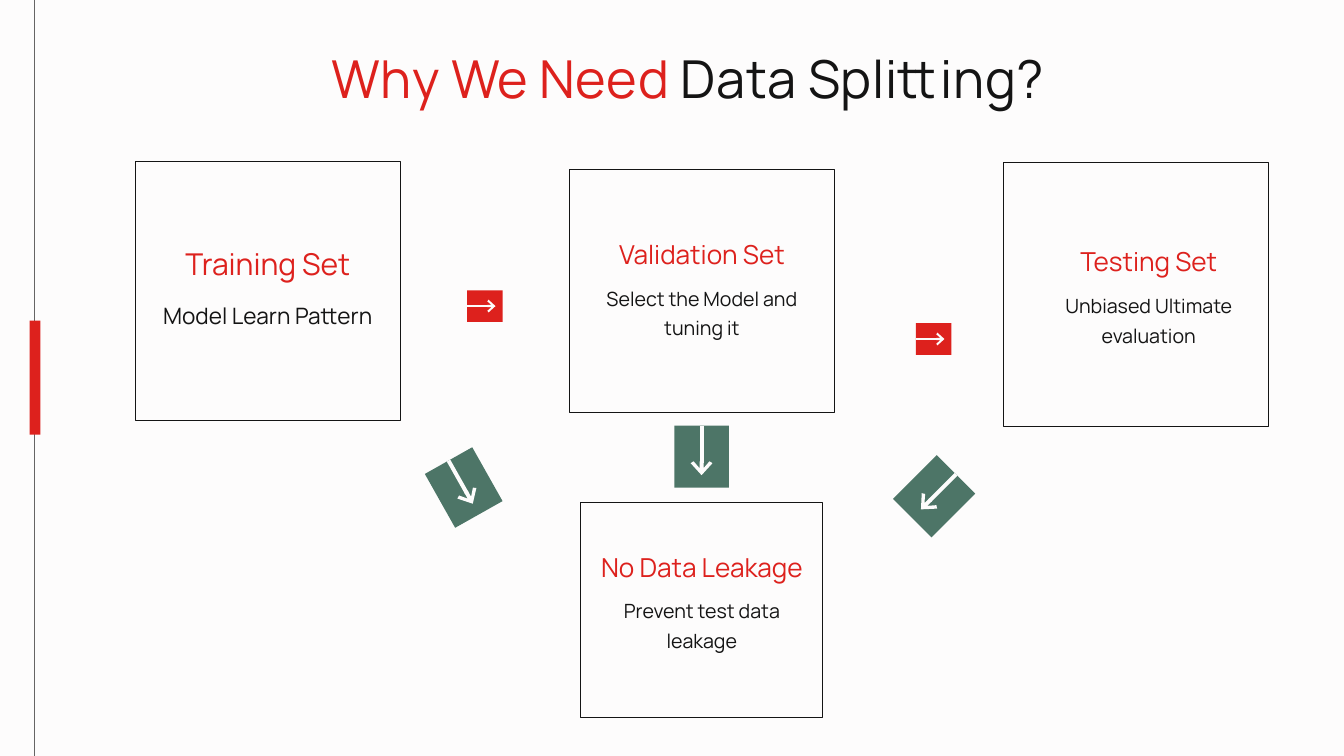
"""Build the data splitting slide: four cards joined by arrow badges."""
from dataclasses import dataclass
from math import cos, radians, sin

from lxml import etree
from pptx import Presentation
from pptx.dml.color import RGBColor
from pptx.enum.shapes import MSO_CONNECTOR, MSO_SHAPE
from pptx.enum.text import MSO_ANCHOR, MSO_AUTO_SIZE, PP_ALIGN
from pptx.oxml.ns import qn
from pptx.shapes.autoshape import Shape
from pptx.slide import Slide
from pptx.text.text import TextFrame
from pptx.util import Inches, Pt

RECT = MSO_SHAPE.RECTANGLE
STRAIGHT = MSO_CONNECTOR.STRAIGHT
TOP = MSO_ANCHOR.TOP
NO_FIT = MSO_AUTO_SIZE.NONE
CENTER = PP_ALIGN.CENTER


@dataclass(frozen=True)
class Theme:
    font: str = "Manrope"
    paper: RGBColor = RGBColor(0xFD, 0xFC, 0xFC)
    ink: RGBColor = RGBColor(0x14, 0x14, 0x14)
    red: RGBColor = RGBColor(0xDD, 0x21, 0x1D)
    green: RGBColor = RGBColor(0x4D, 0x75, 0x67)
    title: float = 56
    heading: float = 28
    heading_large: float = 32.2
    body_ratio: float = 0.75
    frame: float = 0.75


THEME = Theme()


@dataclass(frozen=True)
class Box:
    x: float
    y: float
    w: float
    h: float


@dataclass(frozen=True)
class Run:
    text: str
    color: RGBColor


@dataclass(frozen=True)
class Card:
    frame: Box
    text_x: float
    text_y: float
    text_w: float
    heading: str
    body: str
    size: float = THEME.heading


@dataclass(frozen=True)
class Badge:
    x: float
    y: float
    w: float
    h: float
    color: RGBColor
    stroke: float
    angle: float = 0


CARDS = [
    Card(Box(2.01, 2.39, 3.95, 3.87), 2.24, 3.57, 3.49,
         "Training Set", "Model Learn Pattern", THEME.heading_large),
    Card(Box(8.47, 2.52, 3.95, 3.62), 8.93, 3.47, 3.03,
         "Validation Set", "Select the Model and tuning it"),
    Card(Box(14.93, 2.41, 3.95, 3.94), 15.58, 3.58, 3.03,
         "Testing Set", "Unbiased Ultimate evaluation"),
    Card(Box(8.63, 7.47, 3.62, 3.21), 8.78, 8.12, 3.33,
         "No Data Leakage", "Prevent test data leakage"),
]

BADGES = [
    Badge(6.95, 4.32, 0.53, 0.47, THEME.red, 2.5),
    Badge(13.63, 4.81, 0.53, 0.47, THEME.red, 2.5),
    Badge(9.98, 6.39, 0.92, 0.81, THEME.green, 4.25, 90),
    Badge(13.44, 6.98, 0.92, 0.81, THEME.green, 4.25, 135),
    Badge(6.44, 6.85, 0.92, 0.81, THEME.green, 4.25, 60.6),
]


def add_block(s: Slide, box: Box, color: RGBColor) -> Shape:
    """Add a solid rectangle without an outline."""
    sp = s.shapes.add_shape(RECT, Inches(box.x), Inches(box.y), Inches(box.w), Inches(box.h))
    sp.shadow.inherit = False
    sp.fill.solid()
    sp.fill.fore_color.rgb = color
    sp.line.fill.background()
    return sp


def add_frame(s: Slide, box: Box) -> None:
    """Add a hairline frame whose outer edge follows the box."""
    line = Pt(THEME.frame)
    sp = s.shapes.add_shape(RECT, Inches(box.x) + line // 2, Inches(box.y) + line // 2,
                            Inches(box.w) - line, Inches(box.h) - line)
    sp.shadow.inherit = False
    sp.fill.background()
    sp.line.color.rgb = THEME.ink
    sp.line.width = line


def write(tf: TextFrame, runs: list[Run], size: float, leading: float, spacing: int = 0) -> None:
    """Fill a text frame with one centred paragraph."""
    tf.word_wrap = True
    tf.auto_size = NO_FIT
    tf.vertical_anchor = TOP
    tf.margin_left = tf.margin_right = tf.margin_top = tf.margin_bottom = 0
    p = tf.paragraphs[0]
    p.alignment = CENTER
    p.line_spacing = Pt(round(size * leading, 1))
    for run in runs:
        r = p.add_run()
        r.text = run.text
        r.font.name = THEME.font
        r.font.size = Pt(size)
        r.font.color.rgb = run.color
        if spacing:
            r.font._element.set("spc", str(spacing))


def add_text(s: Slide, box: Box, run: Run, size: float, leading: float) -> None:
    """Add a text box holding a single run."""
    sp = s.shapes.add_textbox(Inches(box.x), Inches(box.y), Inches(box.w), Inches(box.h))
    write(sp.text_frame, [run], size, leading)


def add_title(s: Slide) -> None:
    """Place and fill the title placeholder."""
    sp = s.shapes.title
    sp.left, sp.top, sp.width, sp.height = Inches(3.98), Inches(0.61), Inches(12.51), Inches(0.98)
    runs = [Run("Why We Need", THEME.red), Run(" Data Splitting?", THEME.ink)]
    write(sp.text_frame, runs, THEME.title, 1.3, 60)


def add_card(s: Slide, card: Card) -> None:
    """Add a framed card, its text spaced in proportion to the heading."""
    scale = card.size / THEME.heading
    body_y = card.text_y + 0.71 * scale
    add_frame(s, card.frame)
    add_text(s, Box(card.text_x, card.text_y, card.text_w, 0.51 * scale),
             Run(card.heading, THEME.red), card.size, 1.4)
    add_text(s, Box(card.text_x, body_y, card.text_w, 0.81),
             Run(card.body, THEME.ink), round(card.size * THEME.body_ratio, 1), 1.5)


def add_badge(s: Slide, badge: Badge) -> None:
    """Add a turned block with an arrow from its rear edge."""
    sp = add_block(s, Box(badge.x, badge.y, badge.w, badge.h), badge.color)
    sp.rotation = badge.angle
    cx, cy = badge.x + badge.w / 2, badge.y + badge.h / 2
    dx, dy = badge.w * cos(radians(badge.angle)), badge.w * sin(radians(badge.angle))
    cxn = s.shapes.add_connector(STRAIGHT, Inches(cx - 0.5 * dx), Inches(cy - 0.5 * dy),
                                 Inches(cx + 0.3 * dx), Inches(cy + 0.3 * dy))
    cxn.line.color.rgb = THEME.paper
    cxn.line.width = Pt(badge.stroke)
    sp_pr = cxn._element.spPr
    etree.SubElement(sp_pr.find(qn("a:ln")), qn("a:tailEnd"), type="arrow", w="lg", len="med")
    etree.SubElement(sp_pr, qn("a:effectLst"))


def main() -> None:
    """Build and save the slide."""
    prs = Presentation()
    prs.slide_width, prs.slide_height = Inches(20), Inches(11.25)
    s = prs.slides.add_slide(prs.slide_layouts[5])
    s.background.fill.solid()
    s.background.fill.fore_color.rgb = THEME.paper
    add_title(s)
    add_block(s, Box(0.51, 0, 0.01, 11.25), THEME.ink)
    add_block(s, Box(0.44, 4.77, 0.16, 1.7), THEME.red)
    for card in CARDS:
        add_card(s, card)
    for badge in BADGES:
        add_badge(s, badge)
    prs.save("out.pptx")


if __name__ == "__main__":
    main()
